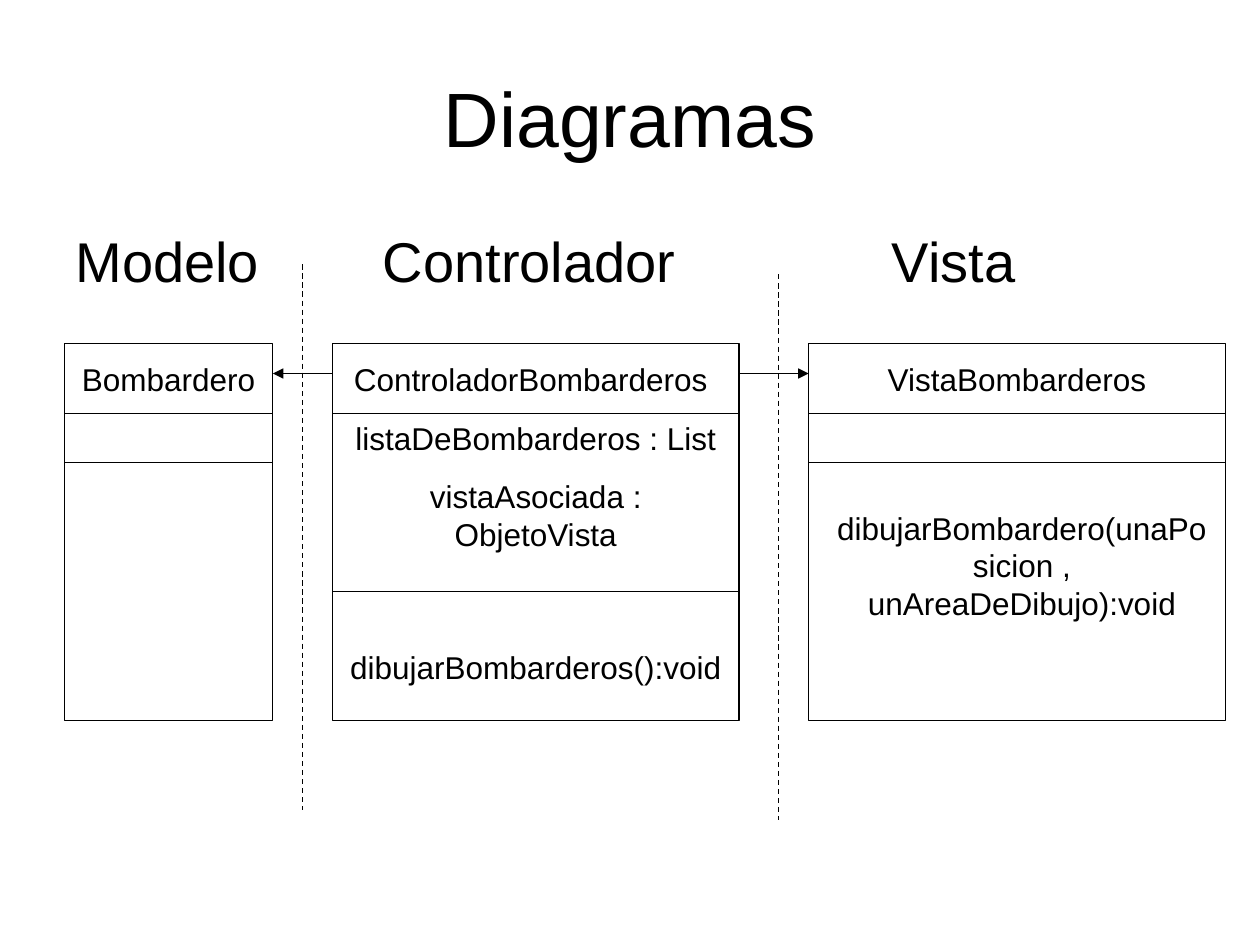
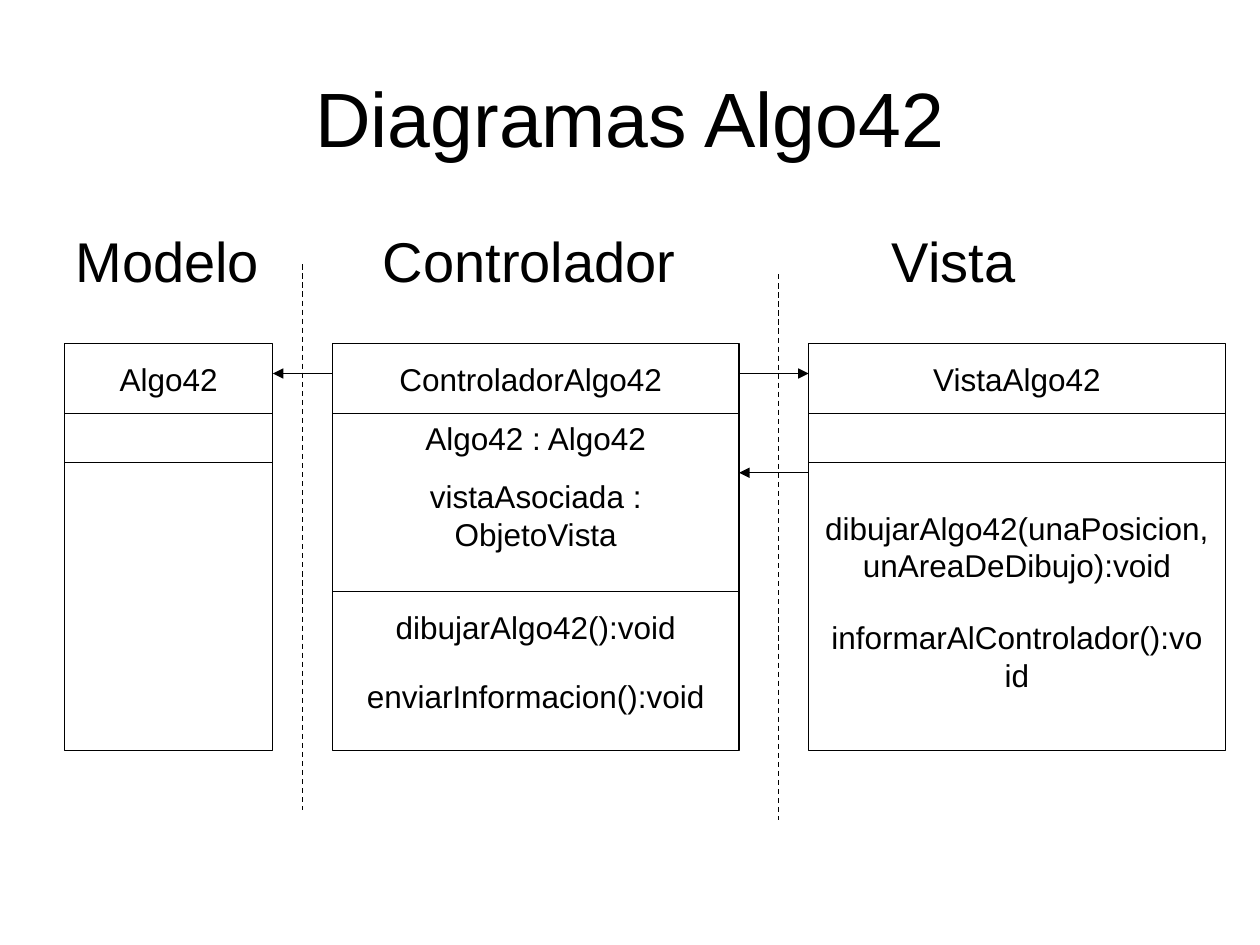
from dataclasses import dataclass

from lxml.etree import SubElement
from pptx import Presentation
from pptx.dml.color import RGBColor
from pptx.enum.dml import MSO_LINE
from pptx.enum.shapes import MSO_CONNECTOR, MSO_SHAPE
from pptx.enum.text import MSO_ANCHOR, MSO_AUTO_SIZE, PP_ALIGN
from pptx.oxml.ns import qn
from pptx.util import Inches, Pt


@dataclass(frozen=True)
class Theme:
    font: str = "Arial"
    ink: RGBColor = RGBColor(0, 0, 0)
    title: int = 44
    heading: int = 32
    label: int = 18
    line: float = 0.75
    gap: float = 11.2


# The grid: 254 columns by 190.5 rows on a 10 by 7.5 inch slide
COLS, ROWS = 254, 190.5
TOP = 69.3                              # first row of the class boxes
NAME, ATTRIBUTES = 2, 14                # rows below TOP
LINE_ROWS, INSET_ROWS, GAP_ROWS = 7.6, 2.5, 4

# Columns of the three classes: left, width
MODEL, CONTROLLER, VIEW = (13, 42), (67, 82), (163, 84)


class Diagram:
    def __init__(self, prs, theme):
        self.prs, self.theme = prs, theme
        self.slide = None

    def x(self, cols):
        return round(self.prs.slide_width * cols / COLS)

    def y(self, rows):
        return round(self.prs.slide_height * rows / ROWS)

    def new_slide(self):
        self.slide = self.prs.slides.add_slide(self.prs.slide_layouts[6])

    def text(self, left, top, width, height, paragraphs, size,
             align=PP_ALIGN.CENTER, anchor=MSO_ANCHOR.TOP, grow=False):
        sp = self.slide.shapes.add_textbox(
            self.x(left), self.y(top), self.x(width), self.y(height))
        tf = sp.text_frame
        tf.word_wrap = True
        tf.vertical_anchor = anchor
        tf.auto_size = MSO_AUTO_SIZE.SHAPE_TO_FIT_TEXT if grow else MSO_AUTO_SIZE.NONE
        for i, words in enumerate(paragraphs):
            p = tf.paragraphs[0] if i == 0 else tf.add_paragraph()
            p.alignment = align
            if i:
                p.space_before = Pt(self.theme.gap)
            r = p.add_run()
            r.text = words
            r.font.name = self.theme.font
            r.font.size = Pt(size)
            r.font.color.rgb = self.theme.ink
        return tf

    def title(self, words):
        self.text(12.7, 7.6, 228.6, 31.8, [words], self.theme.title,
                  anchor=MSO_ANCHOR.MIDDLE)

    def headings(self, names, stops):
        """One line of headings, each after the first at its own tab stop."""
        tf = self.text(12.7, 44.5, 228.6, 125.7, ["\t".join(names)],
                       self.theme.heading, align=PP_ALIGN.LEFT)
        tf.paragraphs[0].space_before = Pt(8)
        pPr = tf.paragraphs[0]._p.get_or_add_pPr()
        tabs = SubElement(pPr, qn("a:tabLst"))
        for stop in stops:
            SubElement(tabs, qn("a:tab"), pos=str(self.x(stop)), algn="l")

    def label(self, left, row, width, *paragraphs, lines=1):
        height = INSET_ROWS + LINE_ROWS * lines + GAP_ROWS * (len(paragraphs) - 1)
        self.text(left, TOP + row, width, height, paragraphs,
                  self.theme.label, grow=True)

    def line(self, x1, y1, x2, y2, dashed=False, arrow=False):
        cn = self.slide.shapes.add_connector(
            MSO_CONNECTOR.STRAIGHT, self.x(x1), self.y(y1), self.x(x2), self.y(y2))
        cn.line.color.rgb = self.theme.ink
        cn.line.width = Pt(self.theme.line)
        if dashed:
            cn.line.dash_style = MSO_LINE.DASH
        if arrow:
            SubElement(cn.line._get_or_add_ln(), qn("a:tailEnd"), type="triangle")
        SubElement(cn._element.spPr, qn("a:effectLst"))

    def arrow(self, start, end, row):
        self.line(start, TOP + row, end, TOP + row, arrow=True)

    def class_box(self, column, height, rules):
        left, width = column
        sp = self.slide.shapes.add_shape(
            MSO_SHAPE.RECTANGLE, self.x(left), self.y(TOP),
            self.x(width), self.y(height))
        sp.shadow.inherit = False
        sp.fill.background()
        sp.line.color.rgb = self.theme.ink
        sp.line.width = Pt(self.theme.line)
        for row in rules:
            self.line(left, TOP + row, left + width, TOP + row)

    def mvc(self, title, height, names, collection):
        """Everything the class diagrams share."""
        self.new_slide()
        self.title(title)
        self.headings(["Modelo", "Controlador", "Vista"], [62, 164.6])
        # Borders between the three layers
        for x, top in ((61, 53.3), (157, 55.3)):
            self.line(x, top, x, top + 110, dashed=True)
        # Classes and their names
        columns = (MODEL, CONTROLLER, VIEW)
        for column, rules in zip(columns, ((14, 24), (14, 50), (14, 24))):
            self.class_box(column, height, rules)
        name_widths = (42, 80, 84)
        for (left, _), width, name in zip(columns, name_widths, names):
            self.label(left, NAME, width, name)
        self.label(*self.at(CONTROLLER, ATTRIBUTES), collection,
                   "vistaAsociada : ObjetoVista", lines=3)
        # The controller knows the model and the view
        self.arrow(CONTROLLER[0], sum(MODEL), 6)
        self.arrow(sum(CONTROLLER), VIEW[0], 6)

    @staticmethod
    def at(column, row, left_pad=0, right_pad=0):
        left, width = column
        return left + left_pad, row, width - left_pad - right_pad


def main():
    prs = Presentation()
    prs.slide_width, prs.slide_height = Inches(10), Inches(7.5)
    d = Diagram(prs, Theme())

    # Bomber classes
    d.mvc("Diagramas", 76,
          ["Bombardero", "ControladorBombarderos", "VistaBombarderos"],
          "listaDeBombarderos : List")
    d.label(*d.at(CONTROLLER, 60), "dibujarBombarderos():void")
    d.label(*d.at(VIEW, 32, left_pad=2),
            "dibujarBombardero(unaPosicion , unAreaDeDibujo):void", lines=3)

    # Algo42 classes, where the view also reports to the controller
    d.mvc("Diagramas Algo42", 82,
          ["Algo42", "ControladorAlgo42", "VistaAlgo42"],
          "Algo42 : Algo42")
    d.label(*d.at(CONTROLLER, 52), "dibujarAlgo42():void")
    d.label(*d.at(CONTROLLER, 66), "enviarInformacion():void")
    d.label(*d.at(VIEW, 32),
            "dibujarAlgo42(unaPosicion, unAreaDeDibujo):void", lines=2)
    d.label(*d.at(VIEW, 54, left_pad=2, right_pad=2),
            "informarAlControlador():void", lines=2)
    d.arrow(VIEW[0], sum(CONTROLLER), 26)

    prs.save("out.pptx")


if __name__ == "__main__":
    main()
